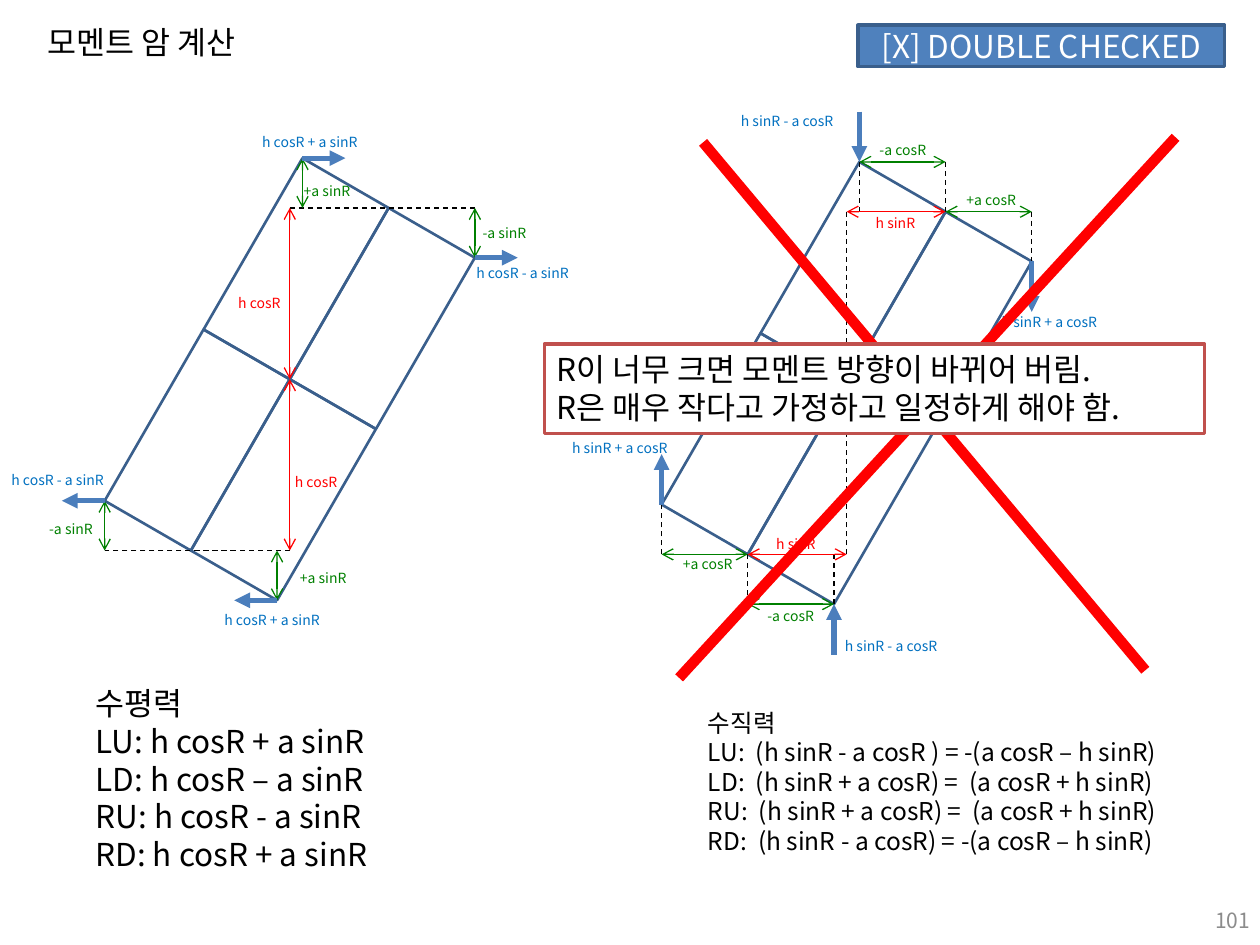
import math
from dataclasses import dataclass

import pptx
import pptx.dml.color
import pptx.enum.dml
import pptx.enum.shapes
import pptx.enum.text
import pptx.oxml.ns
import pptx.util
from lxml import etree
from pptx.util import Inches

ALIGN = pptx.enum.text.PP_ALIGN
ANCHOR = pptx.enum.text.MSO_ANCHOR


@dataclass(frozen=True)
class Theme:
    font: str = "Noto Sans CJK KR"
    black: str = "000000"
    white: str = "FFFFFF"
    gray: str = "8C8C8C"
    badge: str = "4F81BD"
    outline: str = "3A5F8C"
    force: str = "4B7EBC"
    force_label: str = "0070C0"
    body_arm: str = "FF0000"
    side_arm: str = "008000"
    warning: str = "C0504D"
    heading_size: int = 18
    formula_size: int = 14
    number_size: int = 12
    label_size: int = 8


class MomentSlide:
    def __init__(self, slide, theme):
        self.theme = theme
        self.slide = slide
        self.shapes = slide.shapes

    def start_group(self):
        self.shapes = self.slide.shapes.add_group_shape().shapes

    def end_group(self):
        self.shapes = self.slide.shapes

    def fill_text(self, frame, content, size, color, align=ALIGN.LEFT):
        frame.text = content
        for paragraph in frame.paragraphs:
            paragraph.alignment = align
            for run in paragraph.runs:
                run.font.size = pptx.util.Pt(size)
                run.font.name = self.theme.font
                run.font.color.rgb = pptx.dml.color.RGBColor.from_string(color)
                east_asian = etree.SubElement(run.font._element, pptx.oxml.ns.qn("a:ea"))
                east_asian.set("typeface", self.theme.font)

    def text(self, box, content, size, color, align=ALIGN.LEFT, anchor=ANCHOR.TOP, wrap=False):
        frame = self.shapes.add_textbox(*map(Inches, box)).text_frame
        frame.word_wrap = wrap
        frame.vertical_anchor = anchor
        self.fill_text(frame, content, size, color, align)
        return frame

    def label(self, left, top, width, content, color):
        frame = self.text((left, top, width, 0.13), content, self.theme.label_size, color)
        frame.margin_left = frame.margin_right = Inches(0.04)
        frame.margin_top = frame.margin_bottom = 0

    def rectangle(self, box, line, weight, fill=None, rotation=0):
        shape = self.shapes.add_shape(
            pptx.enum.shapes.MSO_SHAPE.RECTANGLE, *map(Inches, box))
        shape.shadow.inherit = False
        shape.rotation = rotation
        shape.line.color.rgb = pptx.dml.color.RGBColor.from_string(line)
        shape.line.width = pptx.util.Pt(weight)
        if fill:
            shape.fill.solid()
            shape.fill.fore_color.rgb = pptx.dml.color.RGBColor.from_string(fill)
        else:
            shape.fill.background()
        return shape

    def line(self, start, end, color, weight, dashed=False, head=None, tail=None):
        connector = self.shapes.add_connector(
            pptx.enum.shapes.MSO_CONNECTOR.STRAIGHT, *map(Inches, (*start, *end)))
        connector.line.color.rgb = pptx.dml.color.RGBColor.from_string(color)
        connector.line.width = pptx.util.Pt(weight)
        if dashed:
            connector.line.dash_style = pptx.enum.dml.MSO_LINE.DASH
        properties = connector._element.spPr
        outline = properties.find(pptx.oxml.ns.qn("a:ln"))
        for tag, arrowhead in (("a:headEnd", head), ("a:tailEnd", tail)):
            if arrowhead:
                etree.SubElement(outline, pptx.oxml.ns.qn(tag)).set("type", arrowhead)
        etree.SubElement(properties, pptx.oxml.ns.qn("a:effectLst"))

    def mark(self, kind, start, end):
        theme = self.theme
        if kind == "guide":
            self.line(start, end, theme.black, 0.75, dashed=True)
        elif kind == "force":
            self.line(start, end, theme.force, 3, tail="triangle")
        else:
            color = theme.body_arm if kind == "body" else theme.side_arm
            self.line(start, end, color, 0.75, head="arrow", tail="arrow")

    def diagram(self, center, marks, labels):
        """Draw four tilted panels, with every mark repeated point-symmetrically."""
        cx, cy = center
        self.start_group()
        for side, up in ((1, 1), (-1, 1), (1, -1), (-1, -1)):
            x = cx + (side * A_COS + up * H_SIN) / 2
            y = cy + (side * A_SIN - up * H_COS) / 2
            self.rectangle((x - A / 2, y - H / 2, A, H), self.theme.outline, 1.5,
                           rotation=TILT)
        for kind, *ends in marks:
            for sign in (1, -1):
                self.mark(kind, *[(cx + sign * x, cy + sign * y) for x, y in ends])
        for label in labels:
            self.label(*label)
        self.end_group()


# Panel width and height, their tilt R in degrees, and the resulting arms
A, H, TILT = 0.79, 1.57, 30
R = math.radians(TILT)
A_COS, A_SIN, H_COS, H_SIN = A * math.cos(R), A * math.sin(R), H * math.cos(R), H * math.sin(R)

# Upper corners and the middle between them, measured from the centre
left_x, left_y = LEFT_UP = (H_SIN - A_COS, -H_COS - A_SIN)
right_x, right_y = RIGHT_UP = (H_SIN + A_COS, -H_COS + A_SIN)
mid_x, mid_y = MID_UP = (H_SIN, -H_COS)
CENTER = (0, 0)

HORIZONTAL_MARKS = [
    ("guide", (0, mid_y), (right_x, mid_y)),
    ("body", (0, mid_y), CENTER),
    ("side", (left_x, mid_y), LEFT_UP),
    ("side", RIGHT_UP, (right_x, mid_y)),
    ("force", LEFT_UP, (left_x + 0.34, left_y)),
    ("force", RIGHT_UP, (right_x + 0.34, right_y)),
]
VERTICAL_MARKS = [
    ("guide", (0, mid_y), CENTER),
    ("guide", (mid_x, left_y), MID_UP),
    ("guide", LEFT_UP, (left_x, mid_y)),
    ("guide", (right_x, mid_y), RIGHT_UP),
    ("body", (0, mid_y), MID_UP),
    ("side", LEFT_UP, (mid_x, left_y)),
    ("side", MID_UP, (right_x, mid_y)),
    ("force", (left_x, left_y - 0.4), LEFT_UP),
    ("force", RIGHT_UP, (right_x, right_y + 0.4)),
]


def main():
    theme = Theme()
    red, green, blue = theme.body_arm, theme.side_arm, theme.force_label
    horizontal_labels = [
        (2.04, 1.06, 0.89, "h cosR + a sinR", blue), (3.74, 2.1, 0.86, "h cosR - a sinR", blue),
        (0.05, 3.74, 0.86, "h cosR - a sinR", blue), (1.74, 4.85, 0.89, "h cosR + a sinR", blue),
        (2.37, 1.45, 0.47, "+a sinR", green), (3.79, 1.78, 0.43, "-a sinR", green),
        (0.35, 4.13, 0.43, "-a sinR", green), (2.34, 4.52, 0.47, "+a sinR", green),
        (1.85, 2.34, 0.42, "h cosR", red), (2.3, 3.76, 0.42, "h cosR", red),
    ]
    vertical_labels = [
        (5.84, 0.89, 0.86, "h sinR - a cosR", blue), (7.91, 2.49, 0.89, "h sinR + a cosR", blue),
        (4.5, 3.49, 0.89, "h sinR + a cosR", blue), (6.64, 5.06, 0.93, " h sinR - a cosR", blue),
        (6.94, 1.12, 0.46, "-a cosR", green), (7.63, 1.52, 0.49, "+a cosR", green),
        (5.38, 4.41, 0.49, "+a cosR", green), (6.05, 4.82, 0.46, "-a cosR", green),
        (6.91, 1.7, 0.4, "h sinR", red), (6.12, 4.25, 0.4, "h sinR", red),
    ]

    deck = pptx.Presentation()
    deck.slide_width, deck.slide_height = Inches(10), Inches(7.5)
    page = MomentSlide(deck.slides.add_slide(deck.slide_layouts[6]), theme)

    page.text((0.28, 0.13, 1.9, 0.4), "모멘트 암 계산", theme.heading_size, theme.black)
    page.text((0.66, 5.38, 2.59, 1.62),
              "수평력\nLU: h cosR + a sinR\nLD: h cosR – a sinR\n"
              "RU: h cosR - a sinR\nRD: h cosR + a sinR", theme.heading_size, theme.black)
    page.text((7.69, 7.1, 2.33, 0.4), "101", theme.number_size, theme.gray,
              ALIGN.RIGHT, ANCHOR.MIDDLE, wrap=True)
    badge = page.rectangle((6.81, 0.2, 2.91, 0.33), theme.outline, 2, theme.badge)
    badge.text_frame.vertical_anchor = ANCHOR.MIDDLE
    page.fill_text(badge.text_frame, "[X] DOUBLE CHECKED", theme.heading_size, theme.white,
                   ALIGN.CENTER)

    page.diagram((6.72, 3.04), VERTICAL_MARKS, vertical_labels)
    page.diagram((2.3, 3.01), HORIZONTAL_MARKS, horizontal_labels)

    page.text((5.52, 5.57, 4.1, 1.28),
              "수직력\nLU:  (h sinR - a cosR ) = -(a cosR – h sinR)\n"
              "LD:  (h sinR + a cosR) =  (a cosR + h sinR)\n"
              "RU:  (h sinR + a cosR) =  (a cosR + h sinR)\n"
              "RD:  (h sinR - a cosR) = -(a cosR – h sinR)", theme.formula_size, theme.black)
    for start, end in (((5.58, 1.13), (9.09, 5.32)), ((9.33, 1.09), (5.39, 5.38))):
        page.line(start, end, red, 6)
    warning = page.rectangle((4.32, 2.73, 5.24, 0.71), theme.warning, 2, theme.white)
    warning.text_frame.word_wrap = False
    warning.text_frame.vertical_anchor = ANCHOR.TOP
    page.fill_text(warning.text_frame,
                   "R이 너무 크면 모멘트 방향이 바뀌어 버림.\nR은 매우 작다고 가정하고 일정하게 해야 함.",
                   theme.heading_size, theme.black)

    deck.save("out.pptx")


if __name__ == "__main__":
    main()
